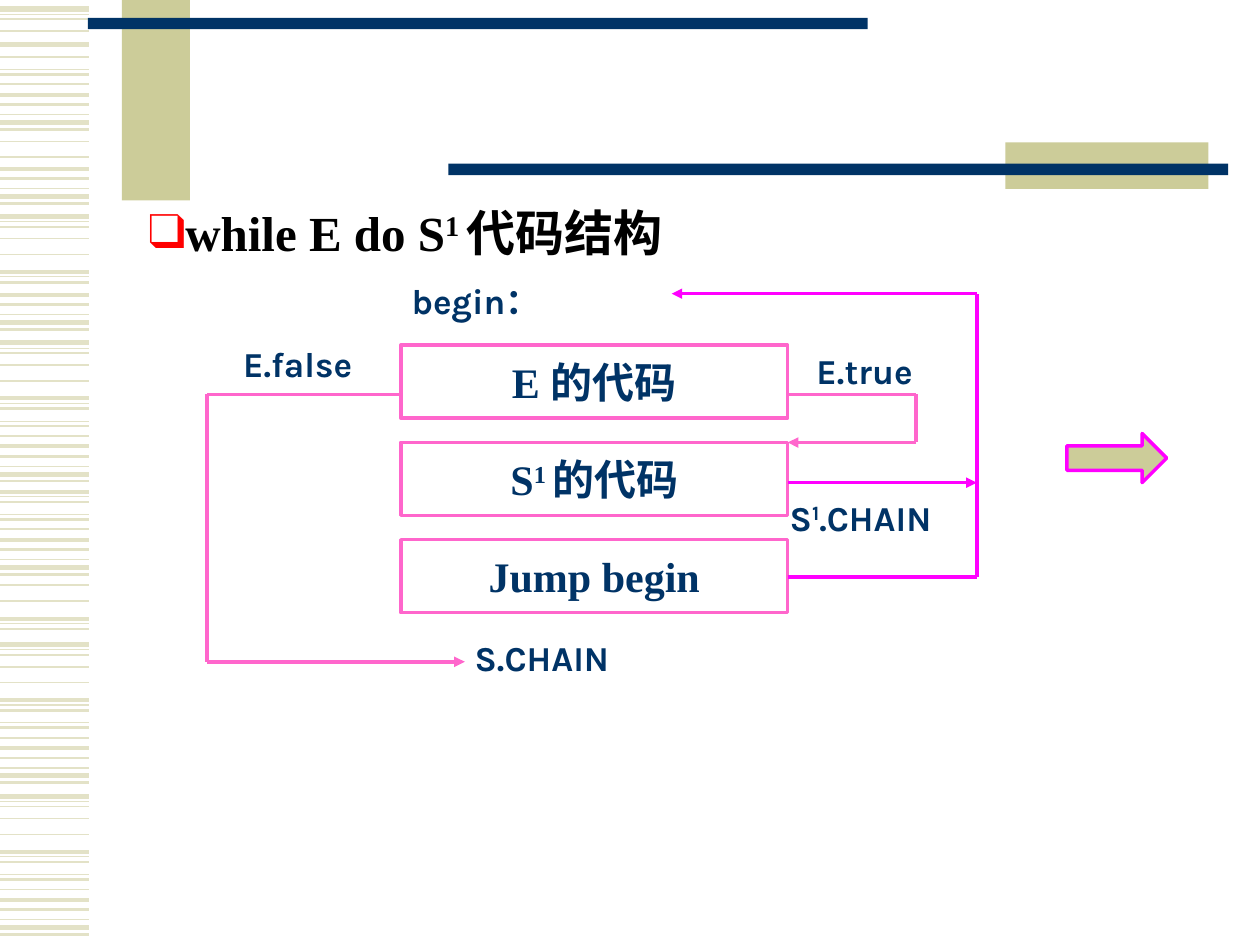
from lxml.etree import SubElement as Sub
from pptx import Presentation as Deck
from pptx.dml.color import RGBColor as Rgb
from pptx.enum.shapes import MSO_CONNECTOR as Link, MSO_SHAPE as Form
from pptx.enum.text import MSO_ANCHOR as Anchor, PP_ALIGN as Align
from pptx.oxml.ns import qn
from pptx.util import Cm, Pt

HUES = {
    "navy": "003366",
    "sand": "CCCC99",
    "pale": "E3E2C7",
    "pink": "FF66CC",
    "hot": "FF00FF",
    "red": "FF0000",
    "black": "000000",
    "white": "FFFFFF",
}
SERIF, SANS = "Times New Roman", "Karla"

BAND = [
    (0, 3), (0.11, 0.75), (0.21, 1), (0.45, 1),
    (0.77, 1), (1.12, 2.25), (1.22, 0.75), (1.33, 1.5),
    (1.58, 0.75), (1.68, 1.5), (1.88, 1), (2.09, 2.25),
    (2.29, 1.5), (2.49, 0.75), (2.65, 3), (2.79, 1.5),
]
PARTS = [
    (0.18, 0, 4), (0.89, 0, 1), (-0.18, 7, 16), (2.4, 3, 5),
    (1.31, 11, 16), (4.36, 0, 8), (3.85, 11, 16), (6.91, 0, 16),
    (8.79, 5, 16), (11.35, 3, 8), (12.99, 0, 16), (16.05, 0, 16),
]


def hue(name):
    return Rgb.from_string(HUES[name])


def add_line(slide, start, end, tint, width=2, arrow=False):
    line = slide.shapes.add_connector(
        Link.STRAIGHT, *[Cm(v) for v in (*start, *end)])
    line.line.color.rgb = hue(tint)
    line.line.width = Pt(width)
    if arrow:
        Sub(line.line._get_or_add_ln(), qn("a:tailEnd"), type="triangle")
    Sub(line._element.spPr, qn("a:effectLst"))


def add_route(slide, points, tint, arrow=True):
    last = len(points) - 2
    for i, (start, end) in enumerate(zip(points, points[1:])):
        add_line(slide, start, end, tint, arrow=arrow and i == last)


def add_form(slide, area, fill, edge=None, form=Form.RECTANGLE):
    shape = slide.shapes.add_shape(form, *[Cm(v) for v in area])
    shape.shadow.inherit = False
    shape.fill.solid()
    shape.fill.fore_color.rgb = hue(fill)
    if edge:
        shape.line.color.rgb = hue(edge)
        shape.line.width = Pt(2)
    else:
        shape.line.fill.background()
    return shape


def add_runs(para, parts, size, face, tint="navy"):
    for text, raised in parts:
        run = para.add_run()
        run.text = text
        font = run.font
        font.size, font.name, font.bold = Pt(size), face, True
        font.color.rgb = hue(tint)
        if raised:
            run._r.get_or_add_rPr().set("baseline", "30000")


def add_text(slide, area, parts, size=20, face=SANS, tint="navy"):
    box = slide.shapes.add_textbox(*[Cm(v) for v in area])
    box.text_frame.word_wrap = True
    para = box.text_frame.paragraphs[0]
    add_runs(para, parts, size, face, tint)
    return para


def add_bullet(para, mark, tint):
    props = para._p.get_or_add_pPr()
    props.set("marL", str(Cm(0.6)))
    props.set("indent", str(-Cm(0.6)))
    color = Sub(props, qn("a:buClr"))
    Sub(color, qn("a:srgbClr"), val=HUES[tint])
    Sub(props, qn("a:buFont"), typeface=SERIF)
    Sub(props, qn("a:buChar"), char=mark)


def add_block(slide, top, parts):
    box = add_form(slide, (8.08, top, 7.8, 1.47), "white", "pink")
    frame = box.text_frame
    frame.vertical_anchor = Anchor.MIDDLE
    para = frame.paragraphs[0]
    para.alignment = Align.CENTER
    add_runs(para, parts, 24, SERIF)


def add_decor(slide):
    for base, first, stop in PARTS:
        for shift, width in BAND[first:stop]:
            y = base + shift
            add_line(slide, (0, y), (1.8, y), "pale", width)
    for area, fill in [
        ((2.46, 0, 1.37, 4.04), "sand"),
        ((1.77, 0.36, 15.72, 0.23), "navy"),
        ((20.27, 2.87, 4.09, 0.94), "sand"),
        ((9.04, 3.3, 15.72, 0.23), "navy"),
    ]:
        add_form(slide, area, fill)


def main():
    deck = Deck()
    deck.slide_width, deck.slide_height = Cm(25.4), Cm(19.05)
    slide = deck.slides.add_slide(deck.slide_layouts[6])
    add_decor(slide)

    head = add_text(
        slide, (2.74, 3.96, 11.13, 1.45),
        [("while E do S", False), ("1 ", True), ("代码结构", False)],
        28, SERIF, "black")
    add_bullet(head, "❑", "red")

    blocks = [
        [("E 的代码", False)],
        [("S", False), ("1 ", True), ("的代码", False)],
        [("Jump begin", False)],
    ]
    for i, parts in enumerate(blocks):
        add_block(slide, 6.96 + 1.96 * i, parts)

    left, right, far = 8.08, 15.88, 19.69
    add_route(slide, [(left, 7.95), (4.17, 7.95), (4.17, 13.34),
                      (9.37, 13.34)], "pink")
    add_route(slide, [(right, 7.95), (18.47, 7.95), (18.47, 8.92),
                      (right, 8.92)], "pink")
    add_route(slide, [(right, 9.73), (far, 9.73)], "hot")
    add_route(slide, [(right, 11.63), (far, 11.63), (far, 5.92),
                      (13.54, 5.92)], "hot")

    for area, parts in [
        ((16.21, 6.92, 6.88, 1.09), [("E.true", False)]),
        ((9.32, 12.7, 6.86, 1.09), [("S.CHAIN", False)]),
        ((4.65, 6.78, 3.81, 1.09), [("E.false", False)]),
        ((8.05, 5.51, 3.38, 1.09), [("begin：", False)]),
        ((15.67, 9.88, 3.84, 1.09),
         [("S", False), ("1", True), (".CHAIN", False)]),
    ]:
        add_text(slide, area, parts)

    add_form(slide, (21.51, 8.74, 2.01, 0.99), "sand", "hot",
             Form.RIGHT_ARROW)
    deck.save("out.pptx")


if __name__ == "__main__":
    main()
